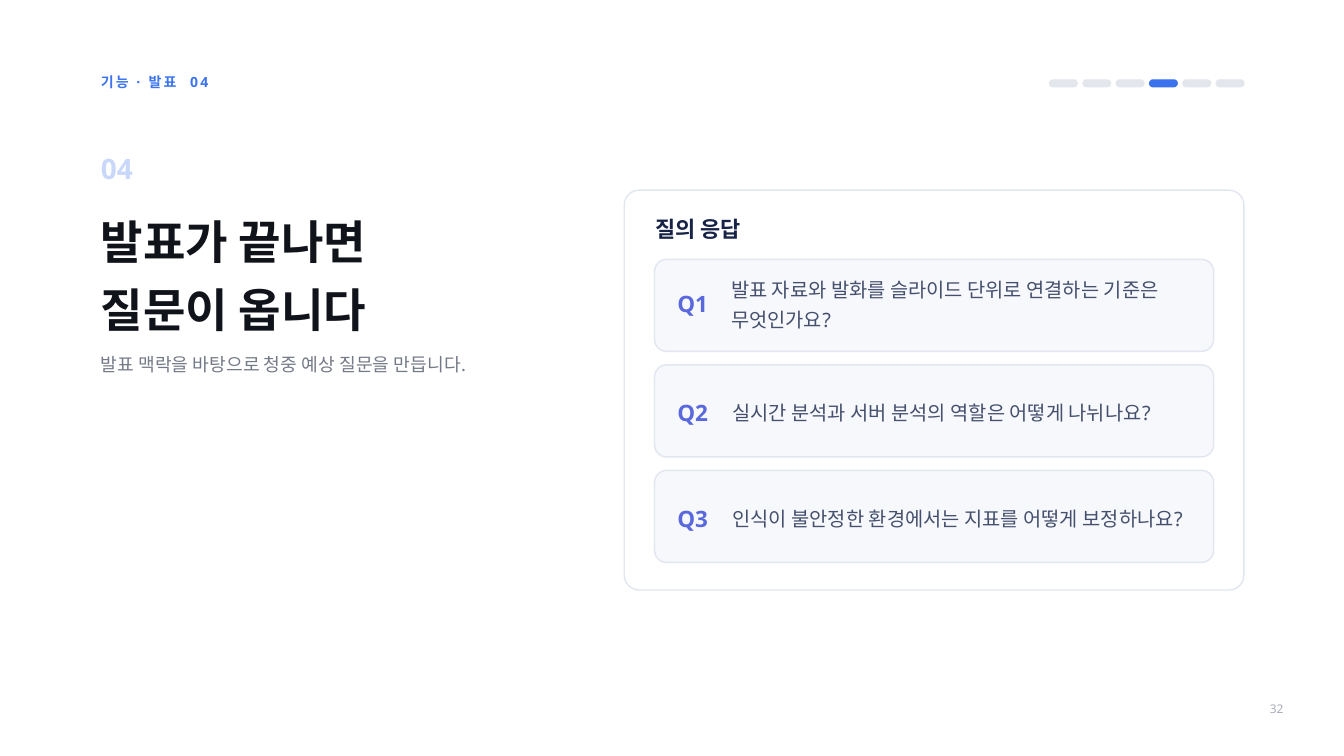
from pptx import Presentation
from pptx.dml.color import RGBColor
from pptx.enum.shapes import MSO_SHAPE
from pptx.enum.text import MSO_ANCHOR, MSO_AUTO_SIZE, PP_ALIGN
from pptx.oxml.ns import qn
from pptx.util import Inches, Pt

ROUND = MSO_SHAPE.ROUNDED_RECTANGLE
TOP, MIDDLE = MSO_ANCHOR.TOP, MSO_ANCHOR.MIDDLE
LEFT, RIGHT = PP_ALIGN.LEFT, PP_ALIGN.RIGHT
FIXED = MSO_AUTO_SIZE.NONE
FONT = "Noto Sans"

WHITE = RGBColor(0xFF, 0xFF, 0xFF)
BLUE = RGBColor(0x3B, 0x73, 0xEE)
PALE = RGBColor(0xC9, 0xD8, 0xFA)
TRACK = RGBColor(0xE4, 0xE6, 0xEE)
EDGE = RGBColor(0xE1, 0xE6, 0xF0)
PANEL = RGBColor(0xF7, 0xF8, 0xFB)
BLACK = RGBColor(0x11, 0x13, 0x1B)
GRAY = RGBColor(0x74, 0x79, 0x87)
FAINT = RGBColor(0xA9, 0xAD, 0xB8)
NAVY = RGBColor(0x17, 0x23, 0x46)
VIOLET = RGBColor(0x59, 0x68, 0xDC)
SLATE = RGBColor(0x45, 0x50, 0x6E)

# Content; each run of the label is (text, letter spacing in points)
LABEL = [("기능 · 발표", 2.4), (" ", 8.7), ("04", 2.4)]
NUMBER = "04"
TITLE = ["발표가 끝나면", "질문이 옵니다"]
LEAD = "발표 맥락을 바탕으로 청중 예상 질문을 만듭니다."
HEAD = "질의 응답"
ASKS = [
    ("Q1", ["발표 자료와 발화를 슬라이드 단위로 연결하는 기준은", "무엇인가요?"]),
    ("Q2", ["실시간 분석과 서버 분석의 역할은 어떻게 나뉘나요?"]),
    ("Q3", ["인식이 불안정한 환경에서는 지표를 어떻게 보정하나요?"]),
]
PAGE = "32"
STEPS, STEP = 6, 4


def box(slide, x, y, w, h, fill, edge, curve):
    shape = slide.shapes.add_shape(ROUND, Inches(x), Inches(y), Inches(w), Inches(h))
    shape.adjustments[0] = curve / min(w, h)
    shape.shadow.inherit = False
    shape.fill.solid()
    shape.fill.fore_color.rgb = fill
    shape.line.color.rgb = edge
    shape.line.width = Pt(1.5)


def write(shape, lines, size, lead, color, bold=False, align=LEFT, anchor=TOP):
    """Fill a shape with lines, each a list of (text, letter spacing)."""
    frame = shape.text_frame
    frame.word_wrap = True
    frame.auto_size = FIXED
    frame.vertical_anchor = anchor
    frame.margin_left = frame.margin_right = 0
    frame.margin_top = frame.margin_bottom = 0
    for i, line in enumerate(lines):
        para = frame.add_paragraph() if i else frame.paragraphs[0]
        para.alignment = align
        para.line_spacing = Pt(lead)
        para.space_before = para.space_after = Pt(0)
        for text, gap in line:
            run = para.add_run()
            run.text = text
            font = run.font
            font.name, font.size, font.bold = FONT, Pt(size), bold
            font.color.rgb = color
            if gap:
                run._r.get_or_add_rPr().set("spc", str(round(gap * 100)))


def plain(*lines):
    return [[(line, 0)] for line in lines]


def label(slide, x, y, w, h, lines, *style, **more):
    shape = slide.shapes.add_textbox(Inches(x), Inches(y), Inches(w), Inches(h))
    write(shape, lines, *style, **more)


def main():
    deck = Presentation()
    deck.slide_width, deck.slide_height = Inches(20), Inches(11.25)
    slide = deck.slides.add_slide(deck.slide_layouts[5])
    slide.background.fill.solid()
    slide.background.fill.fore_color.rgb = WHITE

    # Progress pills
    for i in range(STEPS):
        color = BLUE if i + 1 == STEP else TRACK
        box(slide, 15.62 + i * 0.496, 1.19, 0.41, 0.1, color, color, 0.05)

    # Left column
    label(slide, 1.5, 1.09, 9.75, 0.25, [LABEL], 15, 18, BLUE, bold=True)
    label(slide, 1.5, 2.25, 2.4, 0.5, plain(NUMBER), 30, 36, PALE, bold=True)
    title = slide.shapes.title
    title.left, title.top = Inches(1.5), Inches(2.99)
    title.width, title.height = Inches(7.5), Inches(2.02)
    write(title, plain(*TITLE), 49.5, 72.5, BLACK, bold=True)
    label(slide, 1.5, 5.11, 7.5, 0.68, plain(LEAD), 19.5, 33.9, GRAY)

    # Question card
    box(slide, 9.29, 2.83, 9.22, 5.95, WHITE, EDGE, 0.22)
    label(slide, 9.75, 3.17, 3, 0.5, plain(HEAD), 23.5, 31, NAVY, bold=True)
    for i, (key, lines) in enumerate(ASKS):
        y = 3.86 + i * 1.57
        box(slide, 9.74, y, 8.32, 1.37, PANEL, EDGE, 0.18)
        many = len(lines) > 1
        label(slide, 10.08, y + (0.42 if many else 0.47), 0.6, 0.42,
              plain(key), 24.1, 31.9, VIOLET, bold=True)
        label(slide, 10.88 if many else 10.9, y + (0.16 if many else 0.43),
              7.1, 0.46 * len(lines), plain(*lines), 21.2, 33.1, SLATE)

    # Page number
    label(slide, 18.35, 10.37, 0.75, 0.34, plain(PAGE), 12.8, 15.3, FAINT,
          align=RIGHT, anchor=MIDDLE)

    deck.save("out.pptx")


if __name__ == "__main__":
    main()
